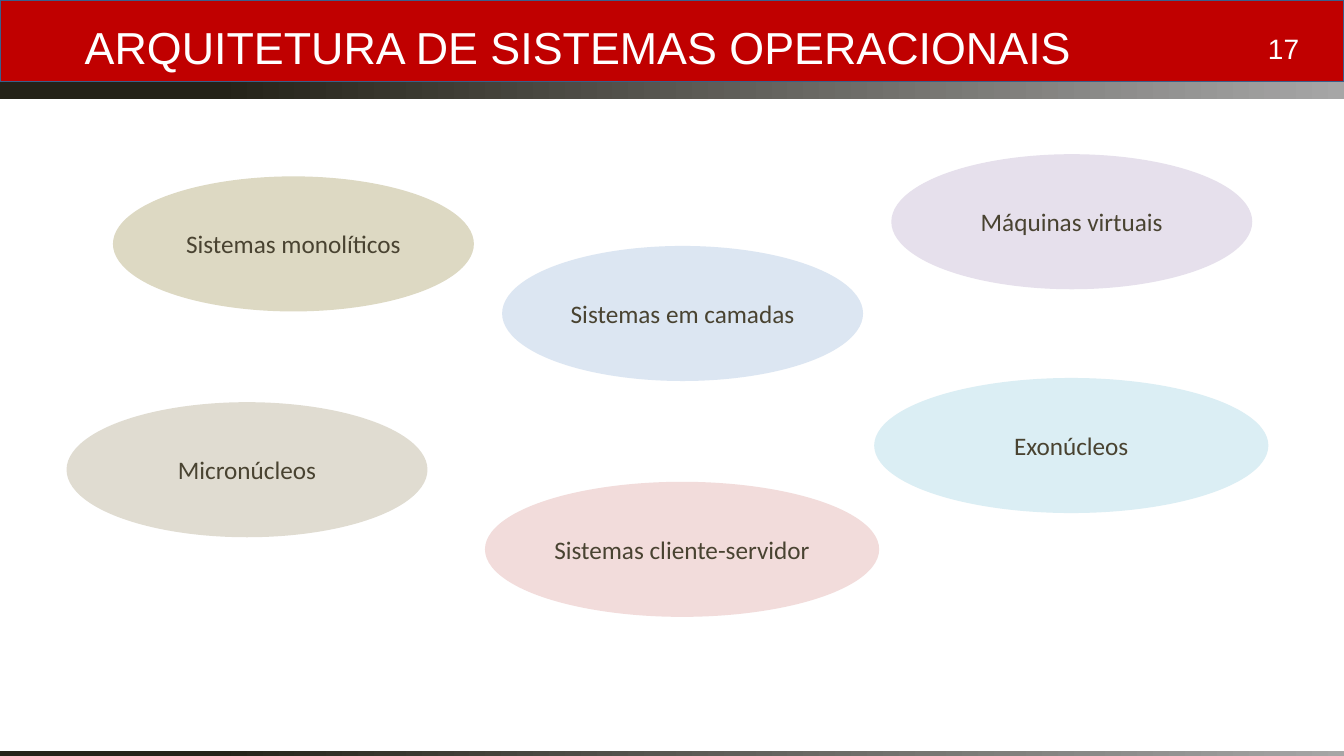
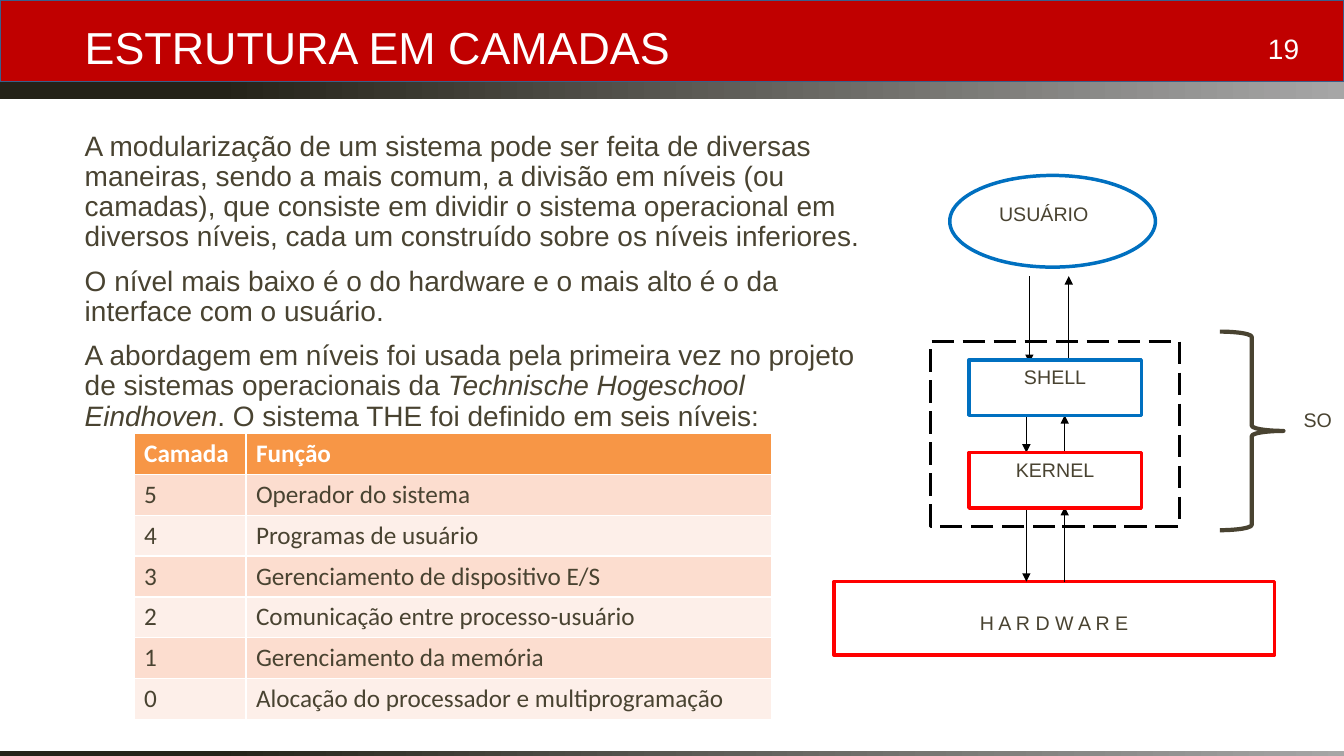
import lxml.etree
import pptx
import pptx.dml.color
import pptx.enum.dml
import pptx.enum.shapes
import pptx.enum.text
import pptx.oxml.ns
import pptx.util

Inches, Pt = pptx.util.Inches, pptx.util.Pt
RGB = pptx.dml.color.RGBColor.from_string
SHAPE = pptx.enum.shapes.MSO_SHAPE
ALIGN = pptx.enum.text.PP_ALIGN
ANCHOR = pptx.enum.text.MSO_ANCHOR
qn = pptx.oxml.ns.qn

COLORS = {
    "red": "C00000", "band_edge": "3A5F8C", "dark": "242218", "grey": "A6A6A6",
    "white": "FFFFFF", "black": "000000", "text": "494331",
    "sand": "DDD9C3", "sky": "DCE6F2", "stone": "E0DCD1",
    "rose": "F2DCDB", "lilac": "E6E0EC", "aqua": "DBEEF4",
    "header": "F79646", "row_odd": "FCDDCF", "row_even": "FDEFE9",
    "blue": "0070C0", "bright_red": "FF0000",
}


def add_block(slide, preset, box, fill=None, line=None, width=1, text="",
              size=14, font="Arial", color="text",
              align=ALIGN.CENTER, anchor=ANCHOR.TOP):
    block = slide.shapes.add_shape(preset, *map(Inches, box))
    block.shadow.inherit = False
    if fill:
        block.fill.solid()
        block.fill.fore_color.rgb = RGB(COLORS[fill])
    else:
        block.fill.background()
    if line:
        block.line.color.rgb = RGB(COLORS[line])
        block.line.width = Pt(width)
    else:
        block.line.fill.background()
    if text:
        block.text_frame.text = text
        block.text_frame.vertical_anchor = anchor
        paragraph = block.text_frame.paragraphs[0]
        paragraph.alignment = align
        paragraph.font.size = Pt(size)
        paragraph.font.name = font
        paragraph.font.color.rgb = RGB(COLORS[color])
    return block


def add_arrow(slide, x, start, end):
    arrow = slide.shapes.add_connector(
        pptx.enum.shapes.MSO_CONNECTOR.STRAIGHT,
        Inches(x), Inches(start), Inches(x), Inches(end))
    arrow.line.color.rgb = RGB(COLORS["black"])
    arrow.line.width = Pt(0.75)
    properties = arrow.element.spPr
    lxml.etree.SubElement(properties.find(qn("a:ln")), qn("a:tailEnd"), type="triangle")
    lxml.etree.SubElement(properties, qn("a:effectLst"))


prs = pptx.Presentation()
prs.slide_width, prs.slide_height = Inches(13.33), Inches(7.5)

# Slides with title and number
slides = []
for layout, title_text, number in [
    (5, "ARQUITETURA DE SISTEMAS OPERACIONAIS", "17"),
    (1, "ESTRUTURA EM CAMADAS", "19"),
]:
    slide = prs.slides.add_slide(prs.slide_layouts[layout])
    slides.append(slide)
    title = slide.shapes.title
    title.left, title.top = Inches(0.74), Inches(0)
    title.width, title.height = Inches(11.39), Inches(0.79)
    title.text_frame.text = title_text
    title.text_frame.auto_size = pptx.enum.text.MSO_AUTO_SIZE.NONE
    title.text_frame.vertical_anchor = ANCHOR.BOTTOM
    heading = title.text_frame.paragraphs[0]
    heading.alignment = ALIGN.LEFT
    heading.line_spacing = 0.9
    heading.font.size = Pt(32)
    heading.font.name = "Arial"
    heading.font.color.rgb = RGB(COLORS["white"])
    add_block(slide, SHAPE.RECTANGLE, (12.37, 0, 0.72, 0.69), text=number,
              size=20, color="white", anchor=ANCHOR.BOTTOM)
overview, layers = slides

# Bands, moved to the master so that every slide shows them
bands = [add_block(overview, SHAPE.RECTANGLE, (0, 0, 13.33, 0.81), "red", "band_edge")]
for top, height in [(0.81, 0.17), (7.45, 0.05)]:
    band = add_block(overview, SHAPE.RECTANGLE, (0, top, 13.33, height))
    band.fill.gradient()
    band.fill.gradient_angle = 180
    for stop, position, color in zip(band.fill.gradient_stops, (0, 0.84), ("grey", "dark")):
        stop.position = position
        stop.color.rgb = RGB(COLORS[color])
    bands.append(band)
for shape_id, band in enumerate(bands, 101):
    band.element.nvSpPr.cNvPr.set("id", str(shape_id))
    prs.slide_master.shapes.element.append(band.element)

# Overview: kinds of architecture
for left, top, width, fill, kind in [
    (1.12, 1.75, 3.58, "sand", "Sistemas monolíticos"),
    (4.98, 2.44, 3.58, "sky", "Sistemas em camadas"),
    (0.66, 3.99, 3.58, "stone", "Micronúcleos"),
    (4.81, 4.78, 3.91, "rose", "Sistemas cliente-servidor"),
    (8.84, 1.53, 3.58, "lilac", "Máquinas virtuais"),
    (8.67, 3.75, 3.91, "aqua", "Exonúcleos"),
]:
    add_block(overview, SHAPE.OVAL, (left, top, width, 1.34), fill, text=kind,
              size=18, font="Calibri", anchor=ANCHOR.MIDDLE)

# Layers: explanation, as runs of (text, italic)
body = layers.placeholders[1]
body.left, body.top = Inches(0.74), Inches(1.26)
body.width, body.height = Inches(8.18), Inches(5.55)
body.text_frame.auto_size = pptx.enum.text.MSO_AUTO_SIZE.NONE
explanation = [
    [("A modularização de um sistema pode ser feita de diversas maneiras, sendo a "
      "mais comum, a divisão em níveis (ou camadas), que consiste em dividir o "
      "sistema operacional em diversos níveis, cada um construído sobre os níveis "
      "inferiores.", False)],
    [("O nível mais baixo é o do hardware e o mais alto é o da interface com o "
      "usuário.", False)],
    [("A abordagem em níveis foi usada pela primeira vez no projeto de sistemas "
      "operacionais da ", False),
     ("Technische Hogeschool Eindhoven", True),
     (". O sistema THE foi definido em seis níveis:", False)],
]
for index, runs in enumerate(explanation):
    paragraph = body.text_frame.add_paragraph() if index else body.text_frame.paragraphs[0]
    paragraph.line_spacing = 0.9
    paragraph.space_before = Pt(10)
    paragraph.font.size = Pt(20)
    paragraph.font.name = "Arial"
    paragraph.font.color.rgb = RGB(COLORS["text"])
    for text, italic in runs:
        run = paragraph.add_run()
        run.text = text
        if italic:
            run.font.italic = True
    properties = paragraph._p.get_or_add_pPr()
    properties.set("marL", "0")
    properties.set("indent", "0")
    lxml.etree.SubElement(properties, qn("a:buNone"))
    default_font = properties.find(qn("a:defRPr"))
    if default_font is not None:
        properties.append(default_font)

# Layers: table of levels
levels = [
    ("Camada", "Função"),
    ("5", "Operador do sistema"),
    ("4", "Programas de usuário"),
    ("3", "Gerenciamento de dispositivo E/S"),
    ("2", "Comunicação entre processo-usuário"),
    ("1", "Gerenciamento da memória"),
    ("0", "Alocação do processador e multiprogramação"),
]
level_table = layers.shapes.add_table(
    len(levels), 2, Inches(1.33), Inches(4.3), Inches(6.32), Inches(2.84)).table
for column, width in zip(level_table.columns, (1.11, 5.21)):
    column.width = Inches(width)
for row, entries in enumerate(levels):
    fill = "header" if row == 0 else "row_odd" if row % 2 else "row_even"
    for column, entry in enumerate(entries):
        cell = level_table.cell(row, column)
        cell.fill.solid()
        cell.fill.fore_color.rgb = RGB(COLORS[fill])
        cell.text = entry
        font = cell.text_frame.paragraphs[0].font
        font.size = Pt(18)
        font.name = "Calibri"
        font.bold = row == 0
        font.color.rgb = RGB(COLORS["text" if row else "white"])

# Layers: diagram from user to hardware
add_block(layers, SHAPE.OVAL, (9.42, 1.74, 2.04, 0.91), "white", "blue", 2.5)
add_block(layers, SHAPE.RECTANGLE, (9.81, 1.95, 1.18, 0.55), "white",
          text="USUÁRIO", align=ALIGN.LEFT)
system = add_block(layers, SHAPE.RECTANGLE, (9.23, 3.39, 2.47, 1.83), "white", "black", 2)
system.line.dash_style = pptx.enum.dml.MSO_LINE.LONG_DASH
hardware = add_block(layers, SHAPE.RECTANGLE, (8.27, 5.77, 4.37, 0.73), "white",
                     "bright_red", 2.5, "H A R D W A R E", anchor=ANCHOR.MIDDLE)
hardware.text_frame.margin_top = Inches(0.13)

for down_x, up_x, top, bottom in [(10.21, 10.6, 2.74, 3.6), (10.18, 10.56, 5.03, 5.77),
                                  (10.18, 10.56, 4.12, 4.49)]:
    add_arrow(layers, down_x, top, bottom)
    add_arrow(layers, up_x, bottom, top)

for top, line, part in [(3.57, "blue", "SHELL"), (4.49, "bright_red", "KERNEL")]:
    add_block(layers, SHAPE.RECTANGLE, (9.61, top, 1.71, 0.55), "white", line, 2.5, part)

brace = add_block(layers, SHAPE.RIGHT_BRACE, (12.1, 3.29, 0.63, 1.97), line="text", width=3)
brace.adjustments[0], brace.adjustments[1] = 0.083, 0.5
add_block(layers, SHAPE.RECTANGLE, (12.81, 4, 0.52, 0.55), "white", text="SO")

prs.save("out.pptx")
